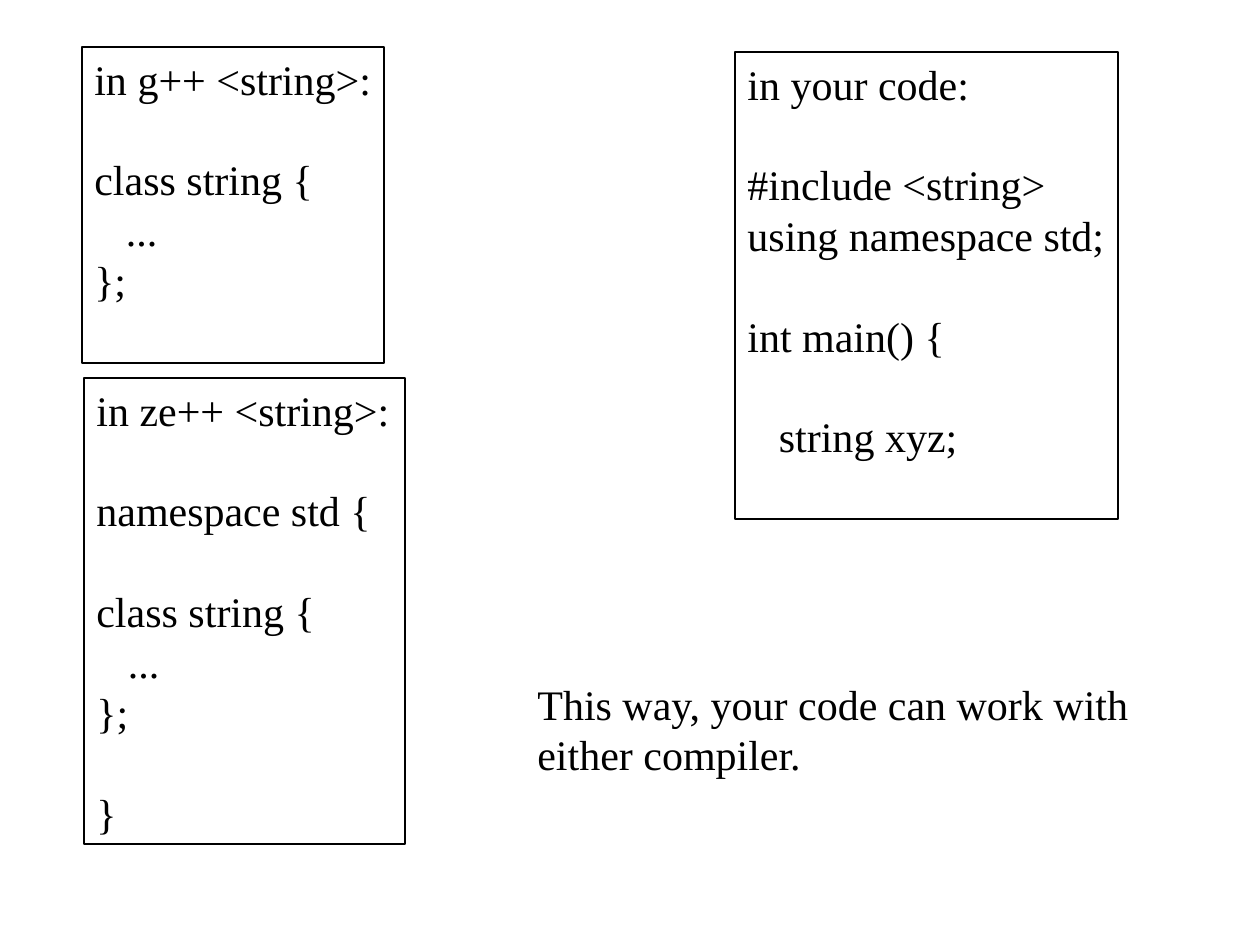
from pptx import Presentation
from pptx.dml.color import RGBColor
from pptx.enum.shapes import MSO_SHAPE
from pptx.enum.text import MSO_ANCHOR, PP_ALIGN
from pptx.util import Inches, Pt

SCALE = Inches(1) / 126
PITCH = Pt(28.8)
INK = "000000"


def px(*nums):
    return [round(n * SCALE) for n in nums]


def tint(code):
    return RGBColor.from_string(code)


def write(frame, text, size=24, font="Times New Roman", color=INK, wrap=True):
    """Fill a frame; an empty line in the text becomes space before the next."""
    frame.word_wrap = wrap
    frame.vertical_anchor = MSO_ANCHOR.TOP
    para, gap = None, 0
    for line in text.split("\n"):
        if not line:
            gap += 1
            continue
        para = frame.add_paragraph() if para else frame.paragraphs[0]
        para.alignment = PP_ALIGN.LEFT
        para.line_spacing = PITCH
        if gap:
            para.space_before = PITCH * gap
        gap = 0
        run = para.add_run()
        run.text = line
        run.font.size = Pt(size)
        run.font.name = font
        run.font.color.rgb = tint(color)


def code_box(slide, box, text):
    rect = slide.shapes.add_shape(MSO_SHAPE.RECTANGLE, *px(*box))
    rect.shadow.inherit = False
    rect.fill.background()
    rect.line.color.rgb = tint(INK)
    rect.line.width = Pt(0.75)
    write(rect.text_frame, text, wrap=False)


def note(slide, box, text):
    write(slide.shapes.add_textbox(*px(*box)).text_frame, text)


GCC = """in g++ <string>:

class string {
   ...
};"""

ZEC = """in ze++ <string>:

namespace std {

class string {
   ...
};

}"""

MAIN = """in your code:

#include <string>
using namespace std;

int main() {

   string xyz;"""


def main():
    deck = Presentation()
    deck.slide_width, deck.slide_height = Inches(10), Inches(7.5)
    slide = deck.slides.add_slide(deck.slide_layouts[6])

    # Library headers on the left
    code_box(slide, (82, 47, 302, 316), GCC)
    code_box(slide, (84, 378, 321, 466), ZEC)
    # Program on the right, with the remark below
    code_box(slide, (735, 52, 383, 467), MAIN)
    note(slide, (525, 672, 621, 113),
         "This way, your code can work with either compiler.")

    deck.save("out.pptx")


if __name__ == "__main__":
    main()
